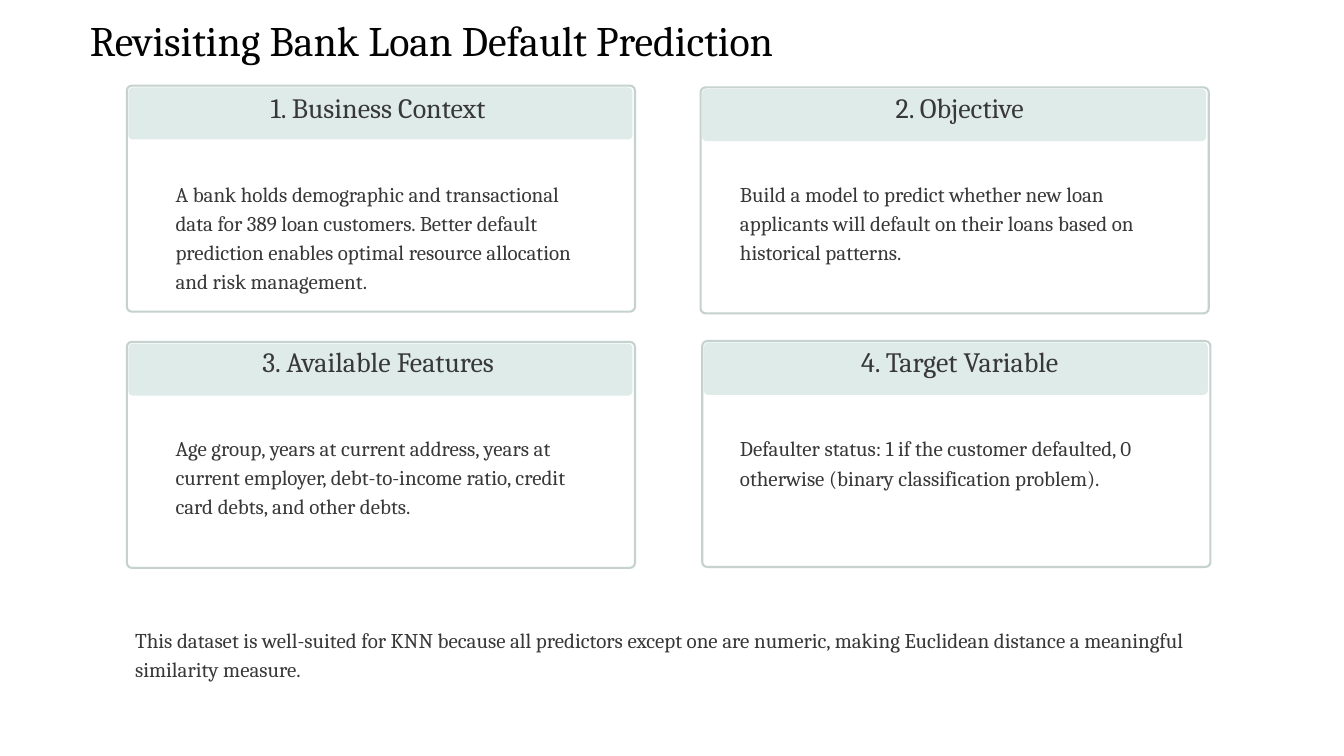
from pptx import Presentation
from pptx import util as u
from pptx.dml.color import RGBColor
from pptx.enum import shapes, text

BLACK = RGBColor(0x02, 0x02, 0x02)
GREY = RGBColor(0x38, 0x38, 0x38)
EDGE = RGBColor(0xC5, 0xD2, 0xCF)
MINT = RGBColor(0xDF, 0xEB, 0xE9)
COLS, ROWS = 16, 9


class Deck:
    """Style and current slide; lengths are columns and rows of a 16 by 9 grid."""

    font = "Cambria"

    def __init__(self):
        self.prs = Presentation()
        self.prs.slide_width = u.Inches(16)
        self.prs.slide_height = u.Inches(9)
        self.slide = self.prs.slides.add_slide(self.prs.slide_layouts[6])

    def place(self, x, y, w, h):
        col = self.prs.slide_width / COLS
        row = self.prs.slide_height / ROWS
        return [round(v) for v in (x * col, y * row, w * col, h * row)]

    def panel(self, x, y, w, h, curve, fill=None, line=None):
        kind = shapes.MSO_SHAPE.ROUNDED_RECTANGLE
        shape = self.slide.shapes.add_shape(kind, *self.place(x, y, w, h))
        shape.shadow.inherit = False
        shape.adjustments[0] = curve / h
        if fill is None:
            shape.fill.background()
        else:
            shape.fill.solid()
            shape.fill.fore_color.rgb = fill
        if line is None:
            shape.line.fill.background()
        else:
            shape.line.color.rgb = line
            shape.line.width = u.Pt(1.8)

    def card(self, x, y):
        self.panel(x, y, 6.05, 2.69, 0.06, line=EDGE)
        self.panel(x + 0.02, y + 0.02, 6, 0.62, 0.05, fill=MINT)

    def box(self, x, y, w, h, pad=(0, 0, 0, 0)):
        frame = self.slide.shapes.add_textbox(*self.place(x, y, w, h)).text_frame
        frame.word_wrap = True
        frame.vertical_anchor = text.MSO_ANCHOR.TOP
        frame.margin_left, frame.margin_top, frame.margin_right, frame.margin_bottom = (
            u.Inches(p) for p in pad)
        return frame

    def para(self, frame, words, size, lead, gap=0, color=GREY, center=False):
        first = frame.paragraphs[0]
        para = first if not first.runs else frame.add_paragraph()
        para.line_spacing = u.Pt(lead)
        if gap:
            para.space_before = u.Pt(gap)
        para.alignment = text.PP_ALIGN.CENTER if center else text.PP_ALIGN.LEFT
        run = para.add_run()
        run.text = words
        run.font.name = self.font
        run.font.size = u.Pt(size)
        run.font.color.rgb = color

    def column(self, x, w, gap, topics):
        frame = self.box(x, 1.19, w, 5.14)
        for i, (head, body) in enumerate(topics):
            self.para(frame, head, 24, 20.5, gap * i, center=True)
            self.para(frame, body, 18, 25, 46)


def main():
    deck = Deck()

    # Cards
    for x, y in ((1.51, 1.02), (1.51, 4.07), (8.36, 4.06), (8.34, 1.04)):
        deck.card(x, y)

    # Title
    title = deck.box(1.07, -0.17, 14.93, 0.91, (0, 0.24, 0, 0))
    deck.para(title, "Revisiting Bank Loan Default Prediction", 36, 51, color=BLACK)

    # Card text, one box per column
    deck.column(2.09, 4.82, 51, (
        ("1. Business Context",
         "A bank holds demographic and transactional data for 389 loan customers. "
         "Better default prediction enables optimal resource allocation and risk "
         "management."),
        ("3. Available Features",
         "Age group, years at current address, years at current employer, "
         "debt-to-income ratio, credit card debts, and other debts."),
    ))
    deck.column(8.81, 5.23, 76.5, (
        ("2. Objective",
         "Build a model to predict whether new loan applicants will default on "
         "their loans based on historical patterns."),
        ("4. Target Variable",
         "Defaulter status: 1 if the customer defaulted, 0 otherwise (binary "
         "classification problem)."),
    ))

    # Closing remark
    note = deck.box(1.51, 7.37, 13.08, 0.78, (0.1, 0.05, 0.1, 0.05))
    deck.para(note, "This dataset is well-suited for KNN because all predictors "
              "except one are numeric, making Euclidean distance a meaningful "
              "similarity measure.", 18, 25)

    deck.prs.save("out.pptx")


if __name__ == "__main__":
    main()
